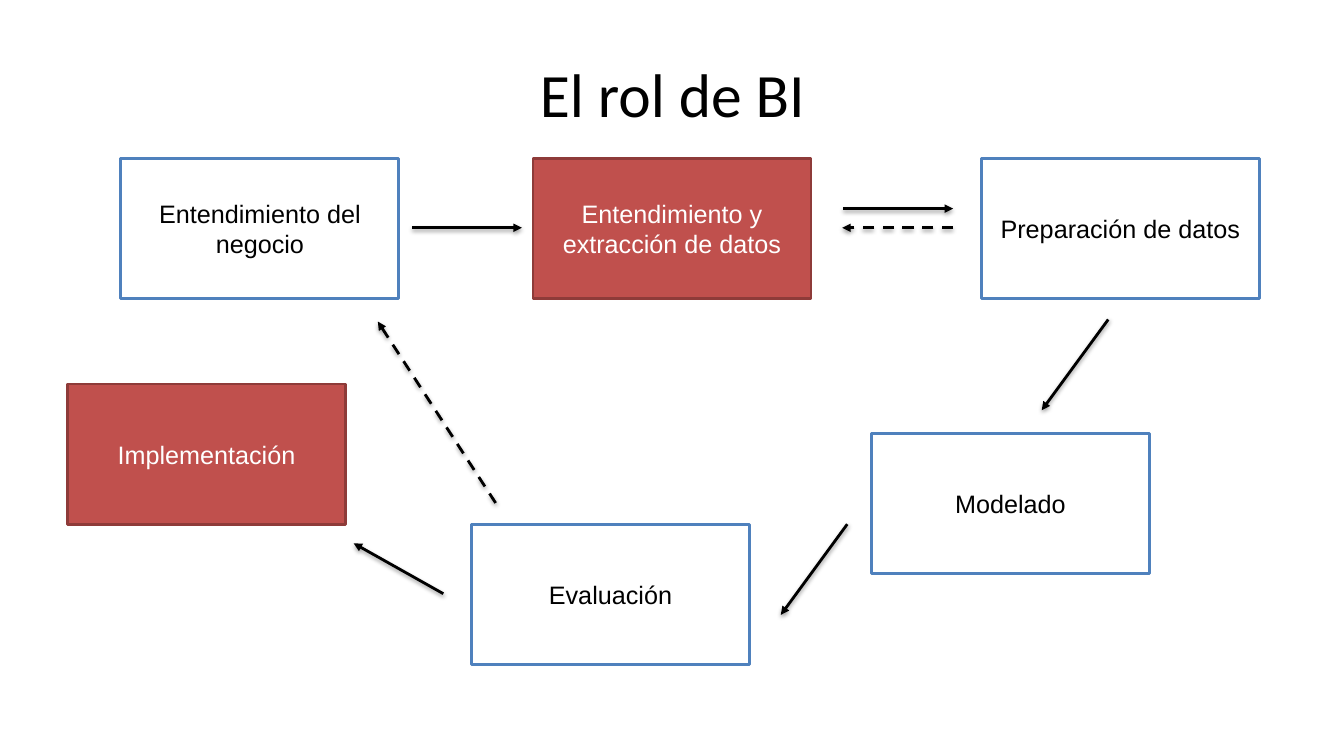
from lxml import etree
from pptx import Presentation
from pptx.dml.color import RGBColor
from pptx.enum.dml import MSO_LINE_DASH_STYLE as Dash
from pptx.enum.shapes import MSO_CONNECTOR as Link, MSO_SHAPE as Shape
from pptx.enum.text import MSO_ANCHOR as Anchor, PP_ALIGN as Align
from pptx.oxml import parse_xml
from pptx.oxml.ns import qn
from pptx.util import Inches, Pt

BOX_W, BOX_H = 2.76, 1.39
TOP = 1.57
PLAIN = {"fill": "FFFFFF", "edge": "4F81BD", "ink": "000000"}
ROLE = {"fill": "C0504D", "edge": "8E3B39", "ink": "FFFFFF"}

STEPS = [
    ("Entendimiento del negocio", 1.2, TOP, PLAIN),
    ("Entendimiento y extracción de datos", 5.29, TOP, ROLE),
    ("Preparación de datos", 9.74, TOP, PLAIN),
    ("Modelado", 8.65, 4.3, PLAIN),
    ("Evaluación", 4.68, 5.2, PLAIN),
    ("Implementación", 0.67, 3.81, ROLE),
]

# Start, end, dashed
ARROWS = [
    ((4.09, 2.26), (5.18, 2.26), False),
    ((8.37, 2.07), (9.46, 2.07), False),
    ((9.46, 2.26), (8.36, 2.26), True),
    ((11, 3.17), (10.34, 4.07), False),
    ((8.41, 5.2), (7.75, 6.1), False),
    ((4.4, 5.89), (3.51, 5.39), False),
    ((4.92, 4.99), (3.75, 3.19), True),
]

SHADOW = (
    '<a:effectLst xmlns:a="http://schemas.openxmlformats.org/drawingml/2006/main">'
    '<a:outerShdw blurRad="40000" dist="20000" dir="5400000" rotWithShape="0">'
    '<a:srgbClr val="000000"><a:alpha val="38000"/></a:srgbClr>'
    '</a:outerShdw></a:effectLst>'
)


def color(code):
    return RGBColor.from_string(code)


def write(shape, text, size, face, ink):
    """Put one centred paragraph in the middle of a shape."""
    frame = shape.text_frame
    frame.word_wrap = True
    frame.vertical_anchor = Anchor.MIDDLE
    para = frame.paragraphs[0]
    para.alignment = Align.CENTER
    run = para.add_run()
    run.text = text
    for key, value in {"size": Pt(size), "name": face}.items():
        setattr(run.font, key, value)
    run.font.color.rgb = color(ink)


def add_title(slide, x, y, w, h):
    box = slide.shapes.add_textbox(*map(Inches, (x, y, w, h)))
    write(box, "El rol de BI", 44, "Calibri", "000000")


def add_step(slide, text, x, y, look):
    box = slide.shapes.add_shape(
        Shape.RECTANGLE, *map(Inches, (x, y, BOX_W, BOX_H)))
    box.shadow.inherit = False
    box.fill.solid()
    box.fill.fore_color.rgb = color(look["fill"])
    box.line.color.rgb = color(look["edge"])
    box.line.width = Pt(2)
    write(box, text, 18, "Arial", look["ink"])


def add_arrow(slide, start, end, dashed):
    arrow = slide.shapes.add_connector(
        Link.STRAIGHT, *map(Inches, (*start, *end)))
    line = arrow.line
    line.color.rgb = color("000000")
    line.width = Pt(2)
    if dashed:
        line.dash_style = Dash.DASH
    props = arrow.element.spPr
    etree.SubElement(props.find(qn("a:ln")), qn("a:tailEnd"), type="triangle")
    props.append(parse_xml(SHADOW))


def add_cycle(slide):
    for step in STEPS:
        add_step(slide, *step)
    for arrow in ARROWS:
        add_arrow(slide, *arrow)


def main():
    deck = Presentation()
    deck.slide_width, deck.slide_height = Inches(13.34), Inches(7.5)
    slide = deck.slides.add_slide(deck.slide_layouts[6])
    add_title(slide, 0.67, 0.3, 12.01, 1.25)
    add_cycle(slide)
    deck.save("out.pptx")


if __name__ == "__main__":
    main()
